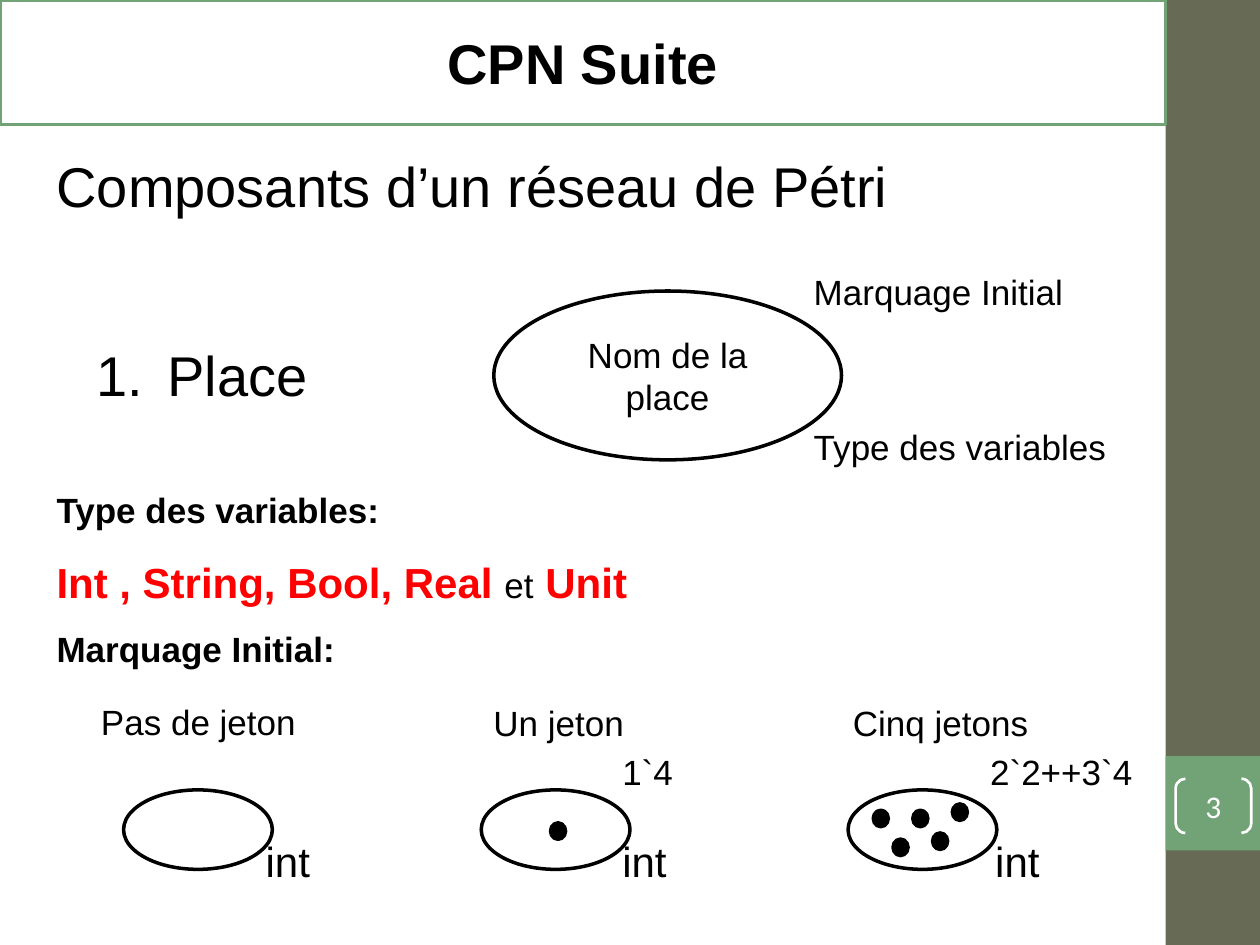
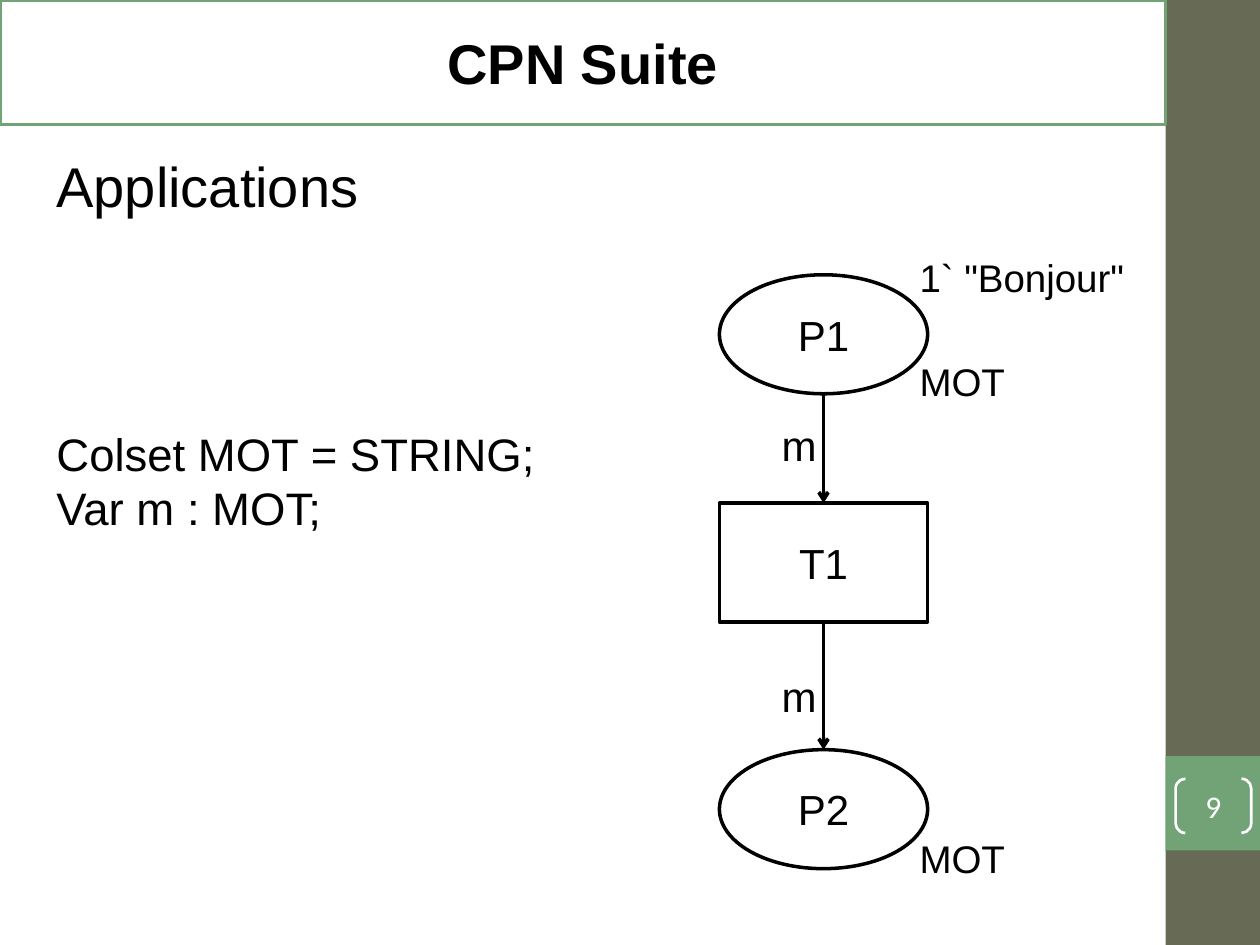
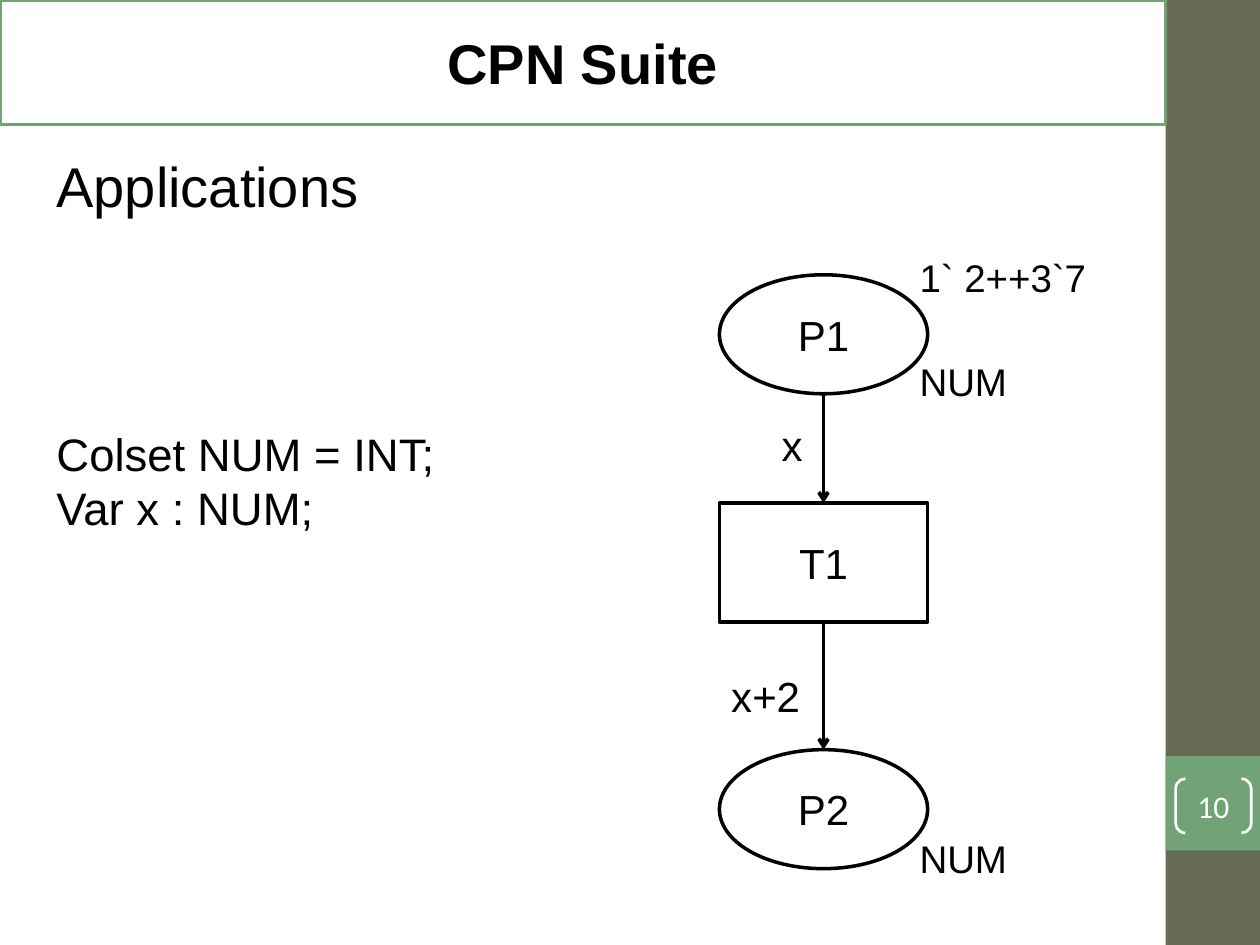
import dataclasses

import pptx
import pptx.dml.color
import pptx.enum.shapes
import pptx.enum.text
import pptx.oxml.ns
import pptx.util
from lxml import etree

Pt = pptx.util.Pt
SHAPE = pptx.enum.shapes.MSO_SHAPE
ALIGN = pptx.enum.text.PP_ALIGN
FIT = pptx.enum.text.MSO_AUTO_SIZE
MIDDLE = pptx.enum.text.MSO_ANCHOR.MIDDLE


@dataclasses.dataclass(frozen=True)
class Theme:
    """Colours, fonts and sizes shared by all slides."""
    ink: str = "000000"
    paper: str = "FFFFFF"
    band: str = "676A55"
    accent: str = "72A376"
    alert: str = "FF0000"
    font: str = "Arial"
    number_font: str = "Calibri"
    title: int = 32
    code: int = 26
    large: int = 24
    marking: int = 22
    body: int = 20
    number: int = 18
    stroke: float = 2
    bracket_stroke: float = 1.5


THEME = Theme()

# Content
DECK_TITLE = "CPN Suite"
PLACE_SLIDE = {
    "number": "3",
    "heading": "Composants d’un réseau de Pétri ",
    "item": "Place",
    "place": "Nom de la place",
    "marking": "Marquage Initial",
    "type": "Type des variables",
    "types_heading": "Type des variables:",
    "types": [("Int , String, Bool, Real ", THEME.large, THEME.alert, True),
              ("et", THEME.body, THEME.ink, False),
              (" Unit", THEME.large, THEME.alert, True)],
    "marking_heading": "Marquage Initial:",
}
# Each case: caption and its box corner, place left, type left, marking and its left, tokens
TOKEN_CASES = [
    {"caption": "Pas de jeton", "caption_at": (36.7, 396.7), "place": 70.6,
     "type": 144.7, "marking": None, "tokens": []},
    {"caption": "Un jeton", "caption_at": (242.6, 397.4), "place": 275,
     "type": 348.5, "marking": ("1`4", 348.5, 85), "tokens": [(314.6, 470.2)]},
    {"caption": "Cinq jetons", "caption_at": (460.8, 397.4), "place": 484.6,
     "type": 561.6, "marking": ("2`2++3`4", 558.7, 99.4),
     "tokens": [(499 + 11.3 * i, top)
                for i, top in enumerate((463, 479.5, 463, 476, 459.4))]},
]
NET_SLIDES = [
    {"number": "9", "marking": "1`\u00a0\"Bonjour\"", "type": "MOT",
     "arcs": [("m", 31), ("m", 31)],
     "code": ["Colset MOT = STRING;", "Var m : MOT;"]},
    {"number": "10", "marking": "1`\u00a02++3`7", "type": "NUM",
     "arcs": [("x", 31), ("x+2", 59.8)],
     "code": ["Colset NUM = INT;", "Var x : NUM;"]},
]
NET_NODES = [("P1", SHAPE.OVAL, 157), ("T1", SHAPE.RECTANGLE, 287.5),
             ("P2", SHAPE.OVAL, 428.4)]

# Layout
MARGIN = 25.2
BAND_LEFT, BAND_WIDTH = 666, 54
NODE_LEFT, NODE_WIDTH, NODE_HEIGHT = 411.1, 119, 68
NODE_CENTRE = NODE_LEFT + NODE_WIDTH / 2
ARC_LABEL_TOPS = (236.2, 379.4)
NET_LABEL_LEFT = 518.4
PLACE_TOP, PLACE_WIDTH, PLACE_HEIGHT = 451.4, 85, 45.4
TOKEN_SIZE = (8.6, 9.4)


def rgb(code):
    """Turn a hex code into a colour."""
    return pptx.dml.color.RGBColor.from_string(code)


def style(span, size, color=THEME.ink, bold=False, font=THEME.font):
    """Format one run."""
    span.font.size = Pt(size)
    span.font.name = font
    span.font.bold = bold
    span.font.color.rgb = rgb(color)


def write(frame, text, size, align=ALIGN.LEFT, **look):
    """Fill a text frame and give all its runs the same look."""
    frame.text = text
    for para in frame.paragraphs:
        para.alignment = align
        for span in para.runs:
            style(span, size, **look)


def add_text(page, box, text, size, wrap=True, **look):
    """Add a text box that grows with its text."""
    frame = page.shapes.add_textbox(*map(Pt, box)).text_frame
    frame.word_wrap = wrap
    frame.auto_size = FIT.SHAPE_TO_FIT_TEXT
    write(frame, text, size, **look)
    return frame


def add_figure(page, kind, box, fill=THEME.paper, line=THEME.ink,
               text=None, size=THEME.large, **look):
    """Add a preset shape, with centred text if given."""
    figure = page.shapes.add_shape(kind, *map(Pt, box))
    figure.shadow.inherit = False
    if fill:
        figure.fill.solid()
        figure.fill.fore_color.rgb = rgb(fill)
    else:
        figure.fill.background()
    if line:
        figure.line.color.rgb = rgb(line)
        figure.line.width = Pt(THEME.stroke)
    else:
        figure.line.fill.background()
    if text:
        figure.text_frame.word_wrap = True
        figure.text_frame.vertical_anchor = MIDDLE
        write(figure.text_frame, text, size, ALIGN.CENTER, **look)
    return figure


def add_arc(page, x, top, bottom):
    """Add a downward arrow."""
    arc = page.shapes.add_connector(pptx.enum.shapes.MSO_CONNECTOR.STRAIGHT,
                                    Pt(x), Pt(top), Pt(x), Pt(bottom))
    arc.line.color.rgb = rgb(THEME.ink)
    arc.line.width = Pt(THEME.stroke)
    qn = pptx.oxml.ns.qn
    etree.SubElement(arc.line._get_or_add_ln(), qn("a:tailEnd"), type="arrow")
    etree.SubElement(arc._element.spPr, qn("a:effectLst"))


def number_paragraph(para, indent):
    """Give a paragraph an automatic number with a hanging indent."""
    props = para._p.get_or_add_pPr()
    props.set("marL", str(Pt(indent)))
    props.set("indent", str(-Pt(indent)))
    etree.SubElement(props, pptx.oxml.ns.qn("a:buAutoNum"), type="arabicPeriod")


def start_page(deck, number, heading, heading_width):
    """Add a slide with side band, title, page number and heading."""
    page = deck.slides.add_slide(deck.slide_layouts[6])
    add_figure(page, SHAPE.RECTANGLE, (BAND_LEFT, 0, BAND_WIDTH, 540),
               THEME.band, None)
    add_figure(page, SHAPE.RECTANGLE, (BAND_LEFT, 432, BAND_WIDTH, BAND_WIDTH),
               THEME.accent, None)
    add_figure(page, SHAPE.RECTANGLE, (0, 0, BAND_LEFT, 71.3),
               line=THEME.accent, text=DECK_TITLE, size=THEME.title, bold=True)
    badge = add_figure(page, SHAPE.DOUBLE_BRACKET, (671.8, 445, 43.2, 31), None,
                       THEME.paper, number, THEME.number,
                       color=THEME.paper, font=THEME.number_font)
    badge.adjustments[0] = 0.18
    badge.line.width = Pt(THEME.bracket_stroke)
    frame = badge.text_frame
    frame.margin_left = frame.margin_right = 0
    frame.margin_top = frame.margin_bottom = 0
    add_text(page, (MARGIN, 82.8, heading_width, 46), heading, THEME.title)
    return page


def add_case(page, case):
    """Draw one example place with its caption, marking, type and tokens."""
    add_figure(page, SHAPE.OVAL,
               (case["place"], PLACE_TOP, PLACE_WIDTH, PLACE_HEIGHT))
    add_text(page, (*case["caption_at"], 153.4, 31.5), case["caption"],
             THEME.body, align=ALIGN.CENTER)
    add_text(page, (case["type"], 473.8, 73.4, 36), "int", THEME.large)
    if case["marking"]:
        text, left, width = case["marking"]
        add_text(page, (left, 425.5, width, 31.5), text, THEME.body)
    for corner in case["tokens"]:
        add_figure(page, SHAPE.OVAL, (*corner, *TOKEN_SIZE), THEME.ink)


def build_place_slide(deck, content):
    """Build the slide that explains a place."""
    page = start_page(deck, content["number"], content["heading"], 532.8)
    add_figure(page, SHAPE.OVAL, (282.2, 166.3, 198.7, 96.5),
               text=content["place"], size=THEME.body)
    item = add_text(page, (48.2, 190.8, 260.6, 46), content["item"], THEME.title)
    number_paragraph(item.paragraphs[0], 40.5)
    add_text(page, (457.9, 239.8, 185.8, 31.5), content["type"], THEME.body)
    add_text(page, (457.9, 151.2, 158.4, 31.5), content["marking"], THEME.body,
             wrap=False)
    add_text(page, (MARGIN, 355, 385.2, 31.5), content["marking_heading"],
             THEME.body, bold=True)
    types = add_text(page, (MARGIN, 275.8, 385.2, 75), content["types_heading"],
                     THEME.body, bold=True)
    para = types.add_paragraph()
    para.line_spacing = 1.5
    for text, size, color, bold in content["types"]:
        span = para.add_run()
        span.text = text
        style(span, size, color, bold)
    for case in TOKEN_CASES:
        add_case(page, case)


def build_net_slide(deck, content):
    """Build a slide with a small net and its declarations."""
    page = start_page(deck, content["number"], "Applications", 362.9)
    for name, kind, top in NET_NODES:
        add_figure(page, kind, (NODE_LEFT, top, NODE_WIDTH, NODE_HEIGHT), text=name)
    steps = zip(NET_NODES, NET_NODES[1:], content["arcs"], ARC_LABEL_TOPS)
    for source, target, (label, width), label_top in steps:
        add_arc(page, NODE_CENTRE, source[2] + NODE_HEIGHT, target[2])
        add_text(page, (NODE_CENTRE - width, label_top, width, 36), label,
                 THEME.large)
    for text, top, width in ((content["marking"], 141.8, 147.6),
                             (content["type"], 200.9, 79.2),
                             (content["type"], 473.8, 79.2)):
        add_text(page, (NET_LABEL_LEFT, top, width, 34), text, THEME.marking)
    add_text(page, (MARGIN, 239.8, 374.4, 70.6), "\n".join(content["code"]),
             THEME.code)


def main():
    """Build and save the deck."""
    deck = pptx.Presentation()
    deck.slide_width, deck.slide_height = Pt(720), Pt(540)
    build_place_slide(deck, PLACE_SLIDE)
    for content in NET_SLIDES:
        build_net_slide(deck, content)
    deck.save("out.pptx")


main()
